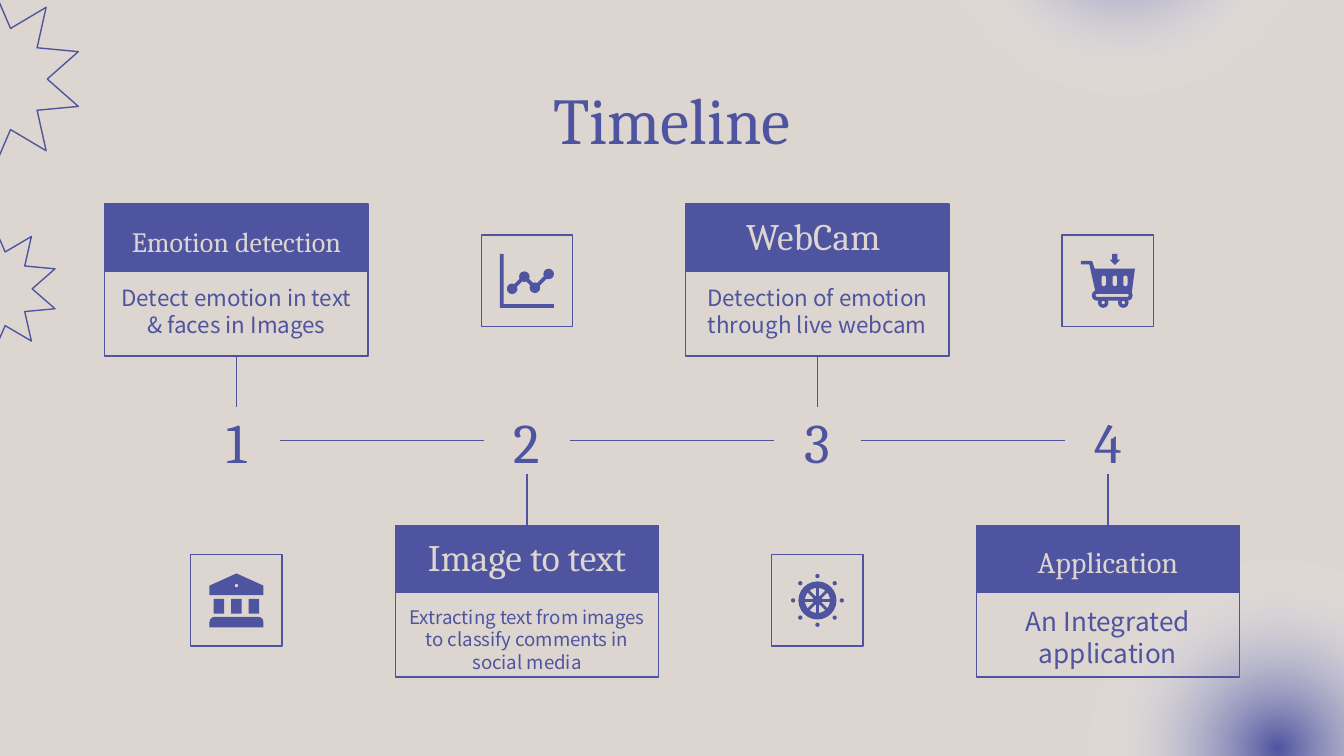
from math import cos, pi, sin

from lxml import etree
from pptx import Presentation
from pptx.dml.color import RGBColor
from pptx.enum.shapes import MSO_CONNECTOR, MSO_SHAPE
from pptx.enum.text import MSO_ANCHOR, PP_ALIGN
from pptx.oxml import parse_xml
from pptx.oxml.ns import nsdecls, qn
from pptx.util import Cm, Pt

RECT, OVAL, STAR = MSO_SHAPE.RECTANGLE, MSO_SHAPE.OVAL, MSO_SHAPE.STAR_10_POINT
DONUT, ARROW = MSO_SHAPE.DONUT, MSO_SHAPE.DOWN_ARROW
ROUND, ROUND_TOP = MSO_SHAPE.ROUNDED_RECTANGLE, MSO_SHAPE.ROUND_2_SAME_RECTANGLE
STRAIGHT = MSO_CONNECTOR.STRAIGHT
TOP, MIDDLE, BOTTOM = MSO_ANCHOR.TOP, MSO_ANCHOR.MIDDLE, MSO_ANCHOR.BOTTOM
CENTER = PP_ALIGN.CENTER

COLORS = {"ink": "4E549F", "paper": "DDD6D0", "glow": "FFFFFF"}
SERIF, SANS = "Cambria", "Noto Sans CJK KR"

FIRST_X, PITCH = 4.47, 5.49
CARD_W, HEAD_H, BODY_H = 4.98, 1.27, 1.6
UPPER_Y, LOWER_Y = 3.86, 9.93
NUM_W, NUM_H, AXIS_Y = 1.63, 1.27, 8.33
ICON_BOX, UPPER_ICON_Y, LOWER_ICON_Y = 1.73, 5.31, 11.35

STEPS = [
    ("Emotion detection", 15, "Detect emotion in text & faces in Images", 12),
    ("Image to text", 20, "Extracting text from images to classify comments in social media", 10),
    ("WebCam ", 20, "Detection of emotion through live webcam", 12),
    ("Application", 16, "An Integrated application", 14),
]


def rgb(name):
    return RGBColor.from_string(COLORS[name])


def paint(sp, fill, line, width=0.75):
    sp.shadow.inherit = False
    if fill:
        sp.fill.solid()
        sp.fill.fore_color.rgb = rgb(fill)
    else:
        sp.fill.background()
    if line:
        sp.line.color.rgb = rgb(line)
        sp.line.width = Pt(width)
    else:
        sp.line.fill.background()


def add_shape(slide, kind, x, y, w, h, fill=None, line=None, width=0.75):
    sp = slide.shapes.add_shape(kind, Cm(x), Cm(y), Cm(w), Cm(h))
    paint(sp, fill, line, width)
    return sp


def add_dot(slide, x, y, radius, fill="ink"):
    add_shape(slide, OVAL, x - radius, y - radius, 2 * radius, 2 * radius, fill)


def add_line(slide, x1, y1, x2, y2, width=0.75):
    cxn = slide.shapes.add_connector(STRAIGHT, Cm(x1), Cm(y1), Cm(x2), Cm(y2))
    cxn.line.color.rgb = rgb("ink")
    cxn.line.width = Pt(width)
    etree.SubElement(cxn._element.spPr, qn("a:effectLst"))


def add_outline(slide, cx, cy, points):
    points = [(Cm(cx + x), Cm(cy + y)) for x, y in points]
    builder = slide.shapes.build_freeform(*points[0], scale=1.0)
    builder.add_line_segments(points[1:], close=True)
    paint(builder.convert_to_shape(), "ink", None)


def add_glow(slide, x, y, size):
    sp = add_shape(slide, OVAL, x, y, size, size)
    clear = "".join(
        f'<a:gs pos="{pos}"><a:srgbClr val="{COLORS["glow"]}"><a:alpha val="0"/></a:srgbClr></a:gs>'
        for pos in (68000, 100000))
    grad = parse_xml(
        f'<a:gradFill {nsdecls("a")}><a:gsLst><a:gs pos="0"><a:srgbClr val="{COLORS["ink"]}"/></a:gs>'
        f'{clear}</a:gsLst><a:path path="circle">'
        '<a:fillToRect l="50000" t="50000" r="50000" b="50000"/></a:path></a:gradFill>')
    sp_pr = sp._element.spPr
    sp_pr.replace(sp_pr.find(qn("a:noFill")), grad)


def set_text(sp, text, size, font, color, anchor):
    tf = sp.text_frame
    tf.word_wrap = True
    tf.vertical_anchor = anchor
    tf.margin_left = tf.margin_right = tf.margin_top = tf.margin_bottom = Cm(0.25)
    tf.text = text
    p = tf.paragraphs[0]
    p.alignment = CENTER
    r = p.runs[0]
    r.font.size = Pt(size)
    r.font.name = font
    r.font.color.rgb = rgb(color)


def add_title(slide, text):
    sp = slide.shapes.title
    sp.left, sp.top, sp.width, sp.height = Cm(2), Cm(1.24), Cm(21.4), Cm(1.6)
    set_text(sp, text, 35, SERIF, "ink", TOP)


def add_card(slide, cx, y, head, head_size, body, body_size):
    x = cx - CARD_W / 2
    sp = add_shape(slide, RECT, x, y, CARD_W, HEAD_H, "ink", "ink")
    set_text(sp, head, head_size, SERIF, "paper", BOTTOM)
    sp = add_shape(slide, RECT, x, y + HEAD_H, CARD_W, BODY_H, None, "ink")
    set_text(sp, body, body_size, SANS, "ink", TOP)


def add_number(slide, cx, number):
    sp = slide.shapes.add_textbox(Cm(cx - NUM_W / 2), Cm(AXIS_Y - NUM_H / 2), Cm(NUM_W), Cm(NUM_H))
    set_text(sp, str(number), 30, SERIF, "ink", MIDDLE)


def draw_bank(slide, cx, cy):
    add_outline(slide, cx, cy, [(-0.51, -0.1), (-0.51, -0.28), (0, -0.51), (0.51, -0.28), (0.51, -0.1)])
    add_dot(slide, cx, cy - 0.28, 0.03, "paper")
    for dx in (-0.33, 0, 0.33):
        add_shape(slide, RECT, cx + dx - 0.1, cy - 0.03, 0.2, 0.28, "ink")
    sp = add_shape(slide, ROUND_TOP, cx - 0.51, cy + 0.31, 1.02, 0.2, "ink")
    sp.adjustments[0] = 0.5


def draw_graph(slide, cx, cy):
    add_outline(slide, cx, cy, [(-0.51, -0.51), (-0.44, -0.51), (-0.44, 0.44),
                                (0.51, 0.44), (0.51, 0.51), (-0.51, 0.51)])
    dots = [(cx - 0.28, cy + 0.15), (cx - 0.05, cy - 0.08), (cx + 0.15, cy + 0.13), (cx + 0.41, cy - 0.13)]
    for start, end in zip(dots, dots[1:]):
        add_line(slide, *start, *end, 2)
    for x, y in dots:
        add_dot(slide, x, y, 0.1)


def draw_wheel(slide, cx, cy):
    ring = add_shape(slide, DONUT, cx - 0.36, cy - 0.36, 0.72, 0.72, "ink")
    ring.adjustments[0] = 0.17
    for i in range(8):
        dx, dy = cos(i * pi / 4), sin(i * pi / 4)
        add_line(slide, cx, cy, cx + 0.26 * dx, cy + 0.26 * dy, 1.5)
        add_dot(slide, cx + 0.46 * dx, cy + 0.46 * dy, 0.04)
    add_dot(slide, cx, cy, 0.09)


def draw_cart(slide, cx, cy):
    add_outline(slide, cx, cy, [(-0.51, -0.38), (-0.3, -0.38), (-0.25, -0.23), (0.51, -0.23),
                                (0.45, 0.23), (-0.23, 0.23), (-0.35, -0.31), (-0.51, -0.31)])
    tray = add_shape(slide, ROUND, cx - 0.27, cy + 0.21, 0.7, 0.13, None, "ink", 2)
    tray.adjustments[0] = 0.5
    for dx in (-0.09, 0.29):
        add_dot(slide, cx + dx, cy + 0.41, 0.1)
        add_dot(slide, cx + dx, cy + 0.41, 0.03, "paper")
    for dx in (-0.08, 0.13, 0.33):
        slot = add_shape(slide, ROUND, cx + dx - 0.04, cy - 0.1, 0.08, 0.2, "paper")
        slot.adjustments[0] = 0.5
    add_shape(slide, ARROW, cx + 0.03, cy - 0.51, 0.2, 0.21, "ink")


def main():
    prs = Presentation()
    prs.slide_width, prs.slide_height = Cm(25.4), Cm(14.29)
    slide = prs.slides.add_slide(prs.slide_layouts[5])
    slide.background.fill.solid()
    slide.background.fill.fore_color.rgb = rgb("paper")

    for x, y, w, h in ((-1.7, -0.18, 3.18, 3.35), (-1.3, 4.24, 2.34, 2.44)):
        star = add_shape(slide, STAR, x, y, w, h, None, "ink")
        star.adjustments[0] = 0.3
    for x, y in ((17.45, -5.56), (20.35, 10.36)):
        add_glow(slide, x, y, 7.57)

    add_title(slide, "Timeline")
    icons = (draw_bank, draw_graph, draw_wheel, draw_cart)
    for i, (step, draw_icon) in enumerate(zip(STEPS, icons)):
        cx = FIRST_X + i * PITCH
        upper = i % 2 == 0
        add_card(slide, cx, UPPER_Y if upper else LOWER_Y, *step)
        add_number(slide, cx, i + 1)
        if upper:
            add_line(slide, cx, AXIS_Y - NUM_H / 2, cx, UPPER_Y + HEAD_H + BODY_H)
        else:
            add_line(slide, cx, AXIS_Y + NUM_H / 2, cx, LOWER_Y)
        if i < len(STEPS) - 1:
            add_line(slide, cx + NUM_W / 2, AXIS_Y, cx + PITCH - NUM_W / 2, AXIS_Y)
        cy = LOWER_ICON_Y if upper else UPPER_ICON_Y
        add_shape(slide, RECT, cx - ICON_BOX / 2, cy - ICON_BOX / 2, ICON_BOX, ICON_BOX, None, "ink")
        draw_icon(slide, cx, cy)

    prs.save("out.pptx")


if __name__ == "__main__":
    main()
